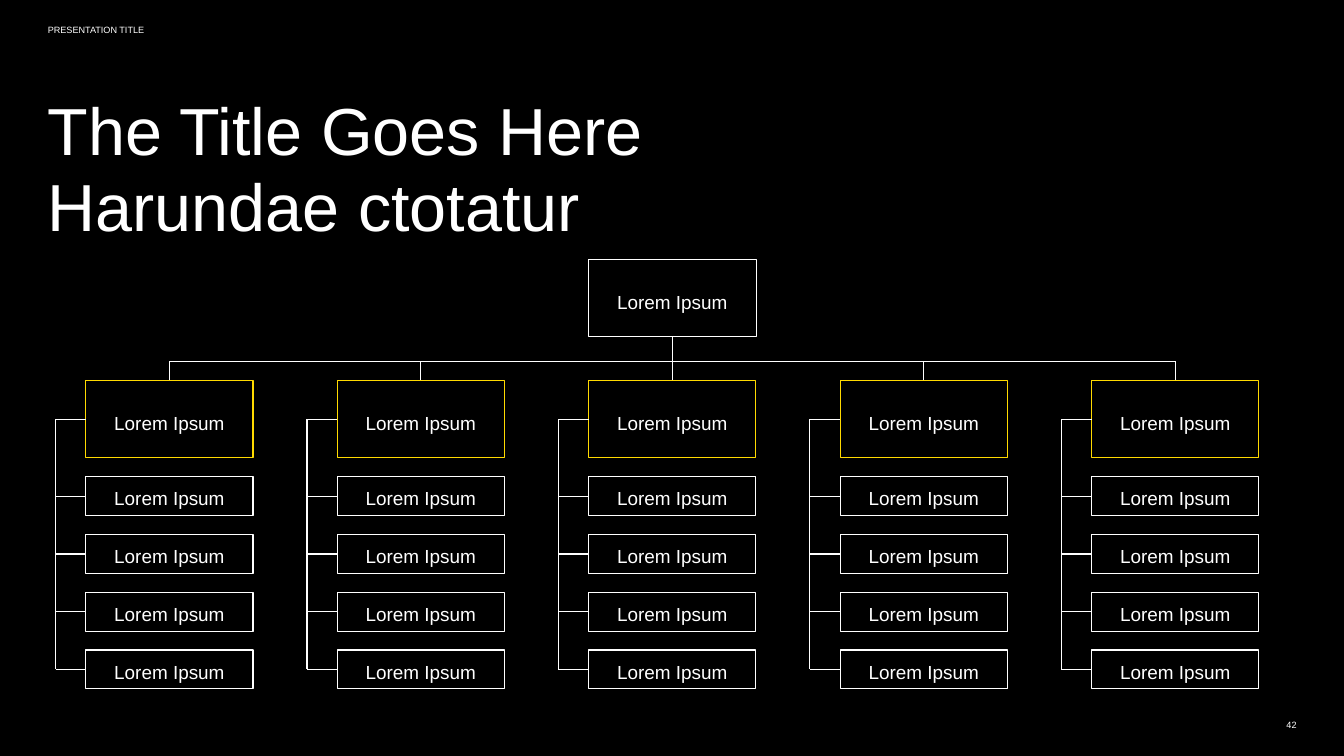
from dataclasses import dataclass

from lxml import etree
from pptx import Presentation
from pptx.dml.color import RGBColor
from pptx.enum.shapes import MSO_CONNECTOR, MSO_SHAPE
from pptx.enum.text import MSO_ANCHOR, PP_ALIGN
from pptx.oxml.ns import qn
from pptx.util import Cm, Pt

BLACK = RGBColor(0x00, 0x00, 0x00)
WHITE = RGBColor(0xFF, 0xFF, 0xFF)
YELLOW = RGBColor(0xFF, 0xDA, 0x00)
FONT = "Arial"
LINE_WIDTH = Pt(1.5)
RECT = MSO_SHAPE.RECTANGLE
STRAIGHT = MSO_CONNECTOR.STRAIGHT
TOP, MIDDLE = MSO_ANCHOR.TOP, MSO_ANCHOR.MIDDLE
LEFT, CENTER, RIGHT = PP_ALIGN.LEFT, PP_ALIGN.CENTER, PP_ALIGN.RIGHT

LABEL = "Lorem Ipsum"
COLUMNS, COLUMN_LEFT, COLUMN_STEP = 5, 4.32, 12.67
LEAVES, LEAF_TOP, LEAF_STEP = 4, 24.03, 2.91
BOX_WIDTH, HEAD_HEIGHT, LEAF_HEIGHT = 8.43, 3.84, 1.96
HEAD_TOP, BAR_Y, SPINE_GAP = 19.2, 18.21, 1.52


@dataclass(frozen=True)
class Box:
    left: float
    top: float
    width: float
    height: float
    color: RGBColor = WHITE
    inset: float = 0.4

    @property
    def center(self) -> float:
        return self.left + self.width / 2

    @property
    def middle(self) -> float:
        return self.top + self.height / 2

    @property
    def bottom(self) -> float:
        return self.top + self.height


def write(tf, text: str, *, size: float, align=LEFT, anchor=TOP,
          inset_top: float = 0, spacing: float = 1.0) -> None:
    tf.word_wrap = True
    tf.vertical_anchor = anchor
    tf.margin_left = tf.margin_right = tf.margin_bottom = 0
    tf.margin_top = Cm(inset_top)
    p = tf.paragraphs[0]
    p.alignment = align
    p.line_spacing = spacing
    for i, line in enumerate(text.split("\n")):
        if i:
            p.add_line_break()
        r = p.add_run()
        r.text = line
        r.font.name = FONT
        r.font.size = Pt(size)
        r.font.color.rgb = WHITE


def add_text(s, left: float, top: float, width: float, height: float,
             text: str, **style) -> None:
    sp = s.shapes.add_textbox(Cm(left), Cm(top), Cm(width), Cm(height))
    write(sp.text_frame, text, **style)


def add_box(s, box: Box) -> None:
    sp = s.shapes.add_shape(RECT, Cm(box.left), Cm(box.top),
                            Cm(box.width), Cm(box.height))
    sp.shadow.inherit = False
    sp.fill.solid()
    sp.fill.fore_color.rgb = BLACK
    sp.line.color.rgb = box.color
    sp.line.width = LINE_WIDTH
    write(sp.text_frame, LABEL, size=27, align=CENTER, anchor=MIDDLE,
          inset_top=box.inset)


def add_line(s, x1: float, y1: float, x2: float, y2: float) -> None:
    line = s.shapes.add_connector(STRAIGHT, Cm(x1), Cm(y1), Cm(x2), Cm(y2))
    line.line.color.rgb = WHITE
    line.line.width = LINE_WIDTH
    etree.SubElement(line._element.spPr, qn("a:effectLst"))


def add_branch(s, head: Box) -> None:
    leaves = [Box(head.left, LEAF_TOP + i * LEAF_STEP, BOX_WIDTH, LEAF_HEIGHT,
                  inset=0.2) for i in range(LEAVES)]
    spine = head.left - SPINE_GAP
    add_line(s, head.center, BAR_Y, head.center, head.top)
    add_line(s, spine, head.middle, spine, leaves[-1].middle)
    for box in [head, *leaves]:
        add_box(s, box)
        add_line(s, spine, box.middle, box.left, box.middle)


def main() -> None:
    prs = Presentation()
    prs.slide_width, prs.slide_height = Cm(67.72), Cm(38.1)
    s = prs.slides.add_slide(prs.slide_layouts[6])
    s.background.fill.solid()
    s.background.fill.fore_color.rgb = BLACK

    add_text(s, 2.41, 1.24, 22.86, 1.19, "PRESENTATION TITLE", size=13)
    add_text(s, 62.46, 36.02, 2.87, 1.07, "42", size=13, align=RIGHT,
             anchor=MIDDLE)
    add_text(s, 2.41, 4.8, 50.01, 7.62,
             "The Title Goes Here\nHarundae ctotatur", size=95, spacing=0.95)

    root = Box(29.64, 13.08, 8.46, 3.86)
    heads = [Box(COLUMN_LEFT + i * COLUMN_STEP, HEAD_TOP, BOX_WIDTH,
                 HEAD_HEIGHT, YELLOW) for i in range(COLUMNS)]
    add_line(s, heads[0].center, BAR_Y, heads[-1].center, BAR_Y)
    add_line(s, root.center, root.bottom, root.center, BAR_Y)
    add_box(s, root)
    for head in heads:
        add_branch(s, head)

    prs.save("out.pptx")


if __name__ == "__main__":
    main()
